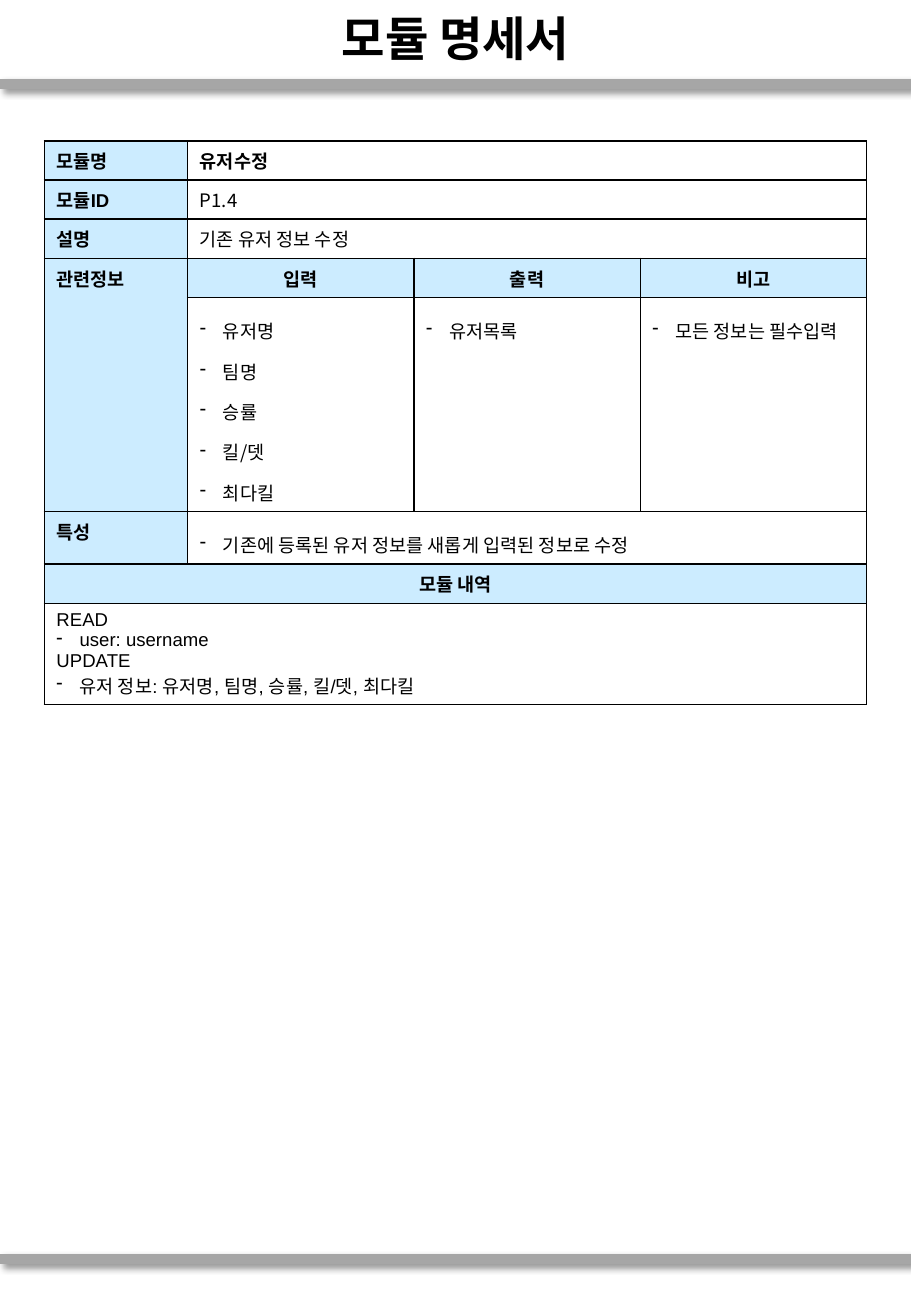
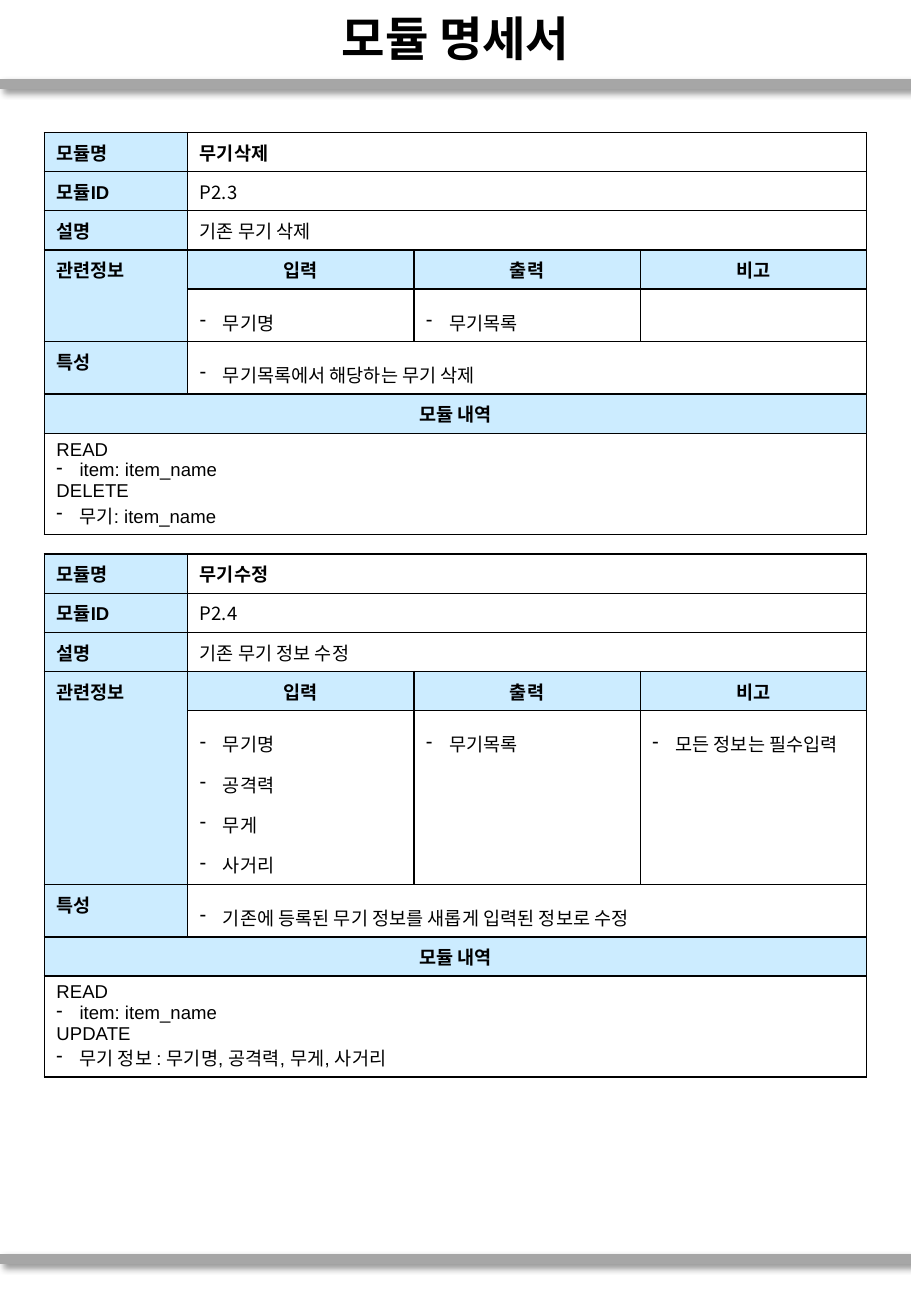
"""Builds two pages of module specification tables."""
import lxml.etree
import pptx
import pptx.dml.color
import pptx.enum.shapes
import pptx.enum.text
import pptx.oxml
import pptx.oxml.ns
import pptx.util

BLACK = pptx.dml.color.RGBColor(0x00, 0x00, 0x00)
WHITE = pptx.dml.color.RGBColor(0xFF, 0xFF, 0xFF)
LABEL_BLUE = pptx.dml.color.RGBColor(0xCC, 0xEC, 0xFF)
BAND_GREY = pptx.dml.color.RGBColor(0xA6, 0xA6, 0xA6)
HANGUL, LATIN = "Noto Sans CJK KR", "Arial"
CENTER = pptx.enum.text.PP_ALIGN.CENTER
NAMESPACE = pptx.oxml.ns.nsdecls("a")
qn = pptx.oxml.ns.qn

PAGE_W, PAGE_H = pptx.util.Inches(7.5), pptx.util.Inches(10.83)
TABLE_W = pptx.util.Inches(6.77)
LABEL_W = pptx.util.Inches(1.18)
FIELD_W = (TABLE_W - LABEL_W) // 3
ROW_H = pptx.util.Inches(0.32)
LIST_LINE_H = pptx.util.Inches(0.33)
LIST_PAD = pptx.util.Inches(0.1)
DETAIL_H = pptx.util.Inches(0.83)
TABLE_GAP = pptx.util.Inches(0.18)
BULLET_INDENT = pptx.util.Inches(0.19)

PAGES = [
    (1.16, [
        {"name": "유저수정", "id": "P1.4", "about": "기존 유저 정보 수정",
         "fields": [["유저명", "팀명", "승률", "킬/뎃", "최다킬"], ["유저목록"], ["모든 정보는 필수입력"]],
         "trait": "기존에 등록된 유저 정보를 새롭게 입력된 정보로 수정",
         "steps": ["READ", "- user: username",
                   "UPDATE", "- 유저 정보: 유저명, 팀명, 승률, 킬/뎃, 최다킬"]},
    ]),
    (1.09, [
        {"name": "무기삭제", "id": "P2.3", "about": "기존 무기 삭제",
         "fields": [["무기명"], ["무기목록"], []],
         "trait": "무기목록에서 해당하는 무기 삭제",
         "steps": ["READ", "- item: item_name", "DELETE", "- 무기: item_name"]},
        {"name": "무기수정", "id": "P2.4", "about": "기존 무기 정보 수정",
         "fields": [["무기명", "공격력", "무게", "사거리"], ["무기목록"], ["모든 정보는 필수입력"]],
         "trait": "기존에 등록된 무기 정보를 새롭게 입력된 정보로 수정",
         "steps": ["READ", "- item: item_name",
                   "UPDATE", "- 무기 정보 : 무기명, 공격력, 무게, 사거리"]},
    ]),
]


def add_run(paragraph, text, size, font, bold):
    run = paragraph.add_run()
    run.text = text
    run.font.size = pptx.util.Pt(size)
    run.font.bold = bold
    run.font.color.rgb = BLACK
    run.font.name = font
    east_asian = lxml.etree.SubElement(run.font._element, qn("a:ea"))
    east_asian.set("typeface", HANGUL)


def write_cell(cell, lines, font=LATIN, bold=False, align=None, spacing=None):
    for number, line in enumerate(lines):
        frame = cell.text_frame
        paragraph = frame.add_paragraph() if number else frame.paragraphs[0]
        if line.startswith("- "):
            properties = paragraph._p.get_or_add_pPr()
            properties.set("marL", str(BULLET_INDENT))
            properties.set("indent", str(-BULLET_INDENT))
            lxml.etree.SubElement(properties, qn("a:buChar")).set("char", "-")
        if align is not None:
            paragraph.alignment = align
        if spacing is not None:
            paragraph.line_spacing = spacing
        add_run(paragraph, line.removeprefix("- "), 11, font, bold)


deck = pptx.Presentation()
deck.slide_width, deck.slide_height = PAGE_W, PAGE_H
layout = deck.slide_layouts[5]
heading = layout.placeholders[0]
heading.left, heading.top = 0, pptx.util.Inches(0.01)
heading.width, heading.height = PAGE_W, pptx.util.Inches(0.6)
heading.text_frame.vertical_anchor = pptx.enum.text.MSO_ANCHOR.MIDDLE
slides = [deck.slides.add_slide(layout) for page in PAGES]

for band_y in (pptx.util.Inches(0.69), pptx.util.Inches(10.36)):
    band = slides[0].shapes.add_connector(
        pptx.enum.shapes.MSO_CONNECTOR.STRAIGHT, 0, band_y, PAGE_W, band_y)
    band.line.color.rgb = BAND_GREY
    band.line.width = pptx.util.Pt(6)
    band.element.spPr.append(pptx.oxml.parse_xml(
        f'<a:effectLst {NAMESPACE}><a:outerShdw blurRad="{pptx.util.Pt(4)}" '
        f'dist="{pptx.util.Pt(3)}" dir="2700000" algn="tl" rotWithShape="0">'
        f'<a:srgbClr val="{BLACK}"><a:alpha val="40000"/></a:srgbClr>'
        '</a:outerShdw></a:effectLst>'))
    deck.slide_master.shapes.element.append(band.element)

for slide, (first_top, modules) in zip(slides, PAGES):
    title = slide.shapes.title.text_frame.paragraphs[0]
    title.alignment = CENTER
    add_run(title, "모듈 명세서", 28, HANGUL, True)

    top = pptx.util.Inches(first_top)
    for module in modules:
        field_lines = max(len(field) for field in module["fields"])
        heights = [ROW_H] * 4 + [LIST_PAD + field_lines * LIST_LINE_H,
                                 LIST_PAD + LIST_LINE_H, ROW_H, DETAIL_H]
        table = slide.shapes.add_table(
            8, 4, (PAGE_W - TABLE_W) // 2, top, TABLE_W, sum(heights)).table
        table.first_row = table.horz_banding = False
        for column, width in zip(table.columns, [LABEL_W] + [FIELD_W] * 3):
            column.width = width
        for row, height in zip(table.rows, heights):
            row.height = height

        for r in range(8):
            for c in range(4):
                cell = table.cell(r, c)
                for side in "LRTB":
                    cell._tc.get_or_add_tcPr().append(pptx.oxml.parse_xml(
                        f'<a:ln{side} {NAMESPACE} w="{pptx.util.Pt(1)}"><a:solidFill>'
                        f'<a:srgbClr val="{BLACK}"/></a:solidFill></a:ln{side}>'))
                is_label = r == 6 or (r < 6 and c == 0) or r == 3
                cell.fill.solid()
                cell.fill.fore_color.rgb = LABEL_BLUE if is_label else WHITE

        for r in (0, 1, 2, 5):
            table.cell(r, 1).merge(table.cell(r, 3))
        for r in (6, 7):
            table.cell(r, 0).merge(table.cell(r, 3))
        table.cell(3, 0).merge(table.cell(4, 0))

        for r, label in zip((0, 1, 2, 3, 5), ("모듈명", "모듈ID", "설명", "관련정보", "특성")):
            write_cell(table.cell(r, 0), [label], bold=True)
        for r, key in enumerate(("name", "id", "about")):
            write_cell(table.cell(r, 1), [module[key]], HANGUL, bold=key == "name")
        for c, (header, field) in enumerate(zip(("입력", "출력", "비고"), module["fields"]), 1):
            write_cell(table.cell(3, c), [header], bold=True, align=CENTER)
            write_cell(table.cell(4, c), [f"- {entry}" for entry in field], HANGUL, spacing=1.5)
        write_cell(table.cell(5, 1), [f"- {module['trait']}"], HANGUL, spacing=1.5)
        write_cell(table.cell(6, 0), ["모듈 내역"], bold=True, align=CENTER)
        write_cell(table.cell(7, 0), module["steps"])
        top += sum(heights) + TABLE_GAP

deck.save("out.pptx")
